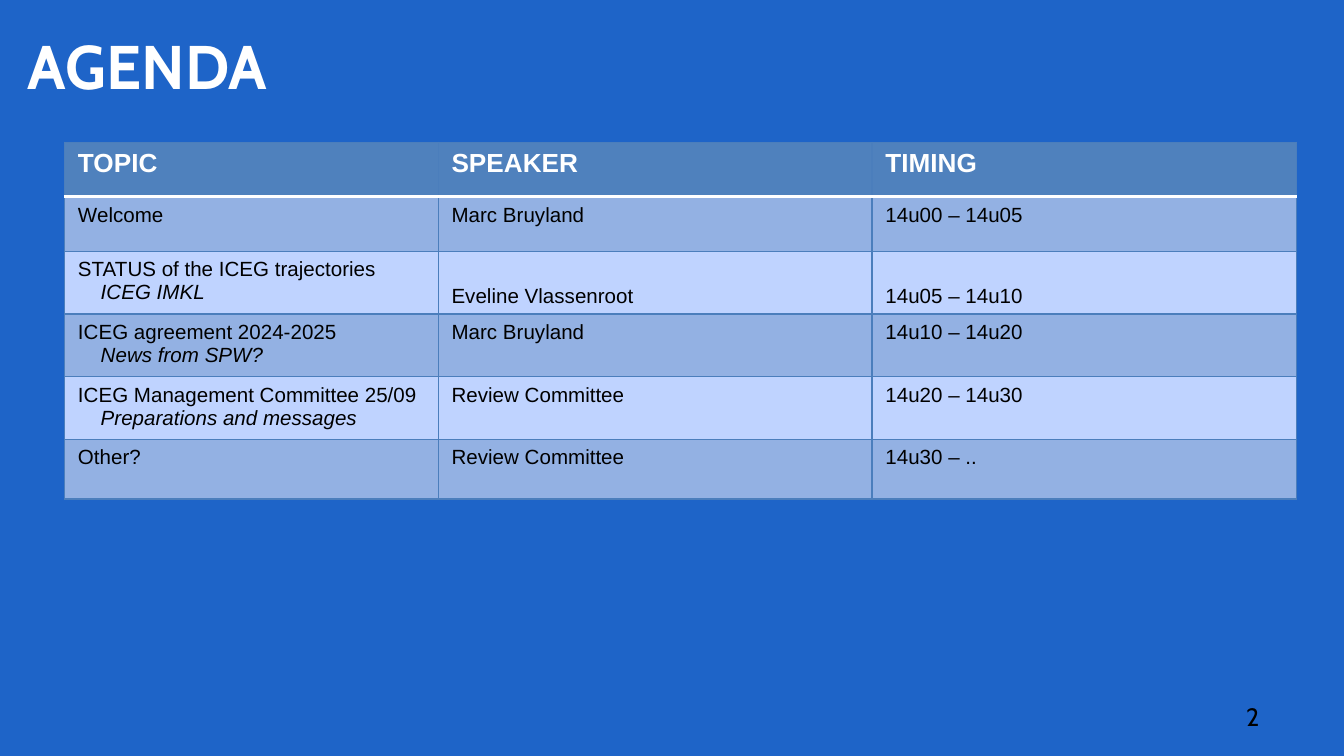
from lxml.etree import SubElement
from pptx import Presentation
from pptx.dml.color import RGBColor
from pptx.enum.text import MSO_ANCHOR
from pptx.oxml.ns import qn
from pptx.util import Cm, Pt

BACKGROUND = "1E64C8"
WHITE = "FFFFFF"
BLACK = "000000"
HEADER_FILL = "4F81BD"
BAND_FILLS = ("93B1E3", "BFD3FF")
GRID_LINE = ("4B7EBC", 0.75)
HEADER_LINE = (WHITE, 2)
COLUMN_WIDTHS = (7.06, 8.2, 8.03)
ROW_HEIGHTS = (1.03, 1.03, 1.12, 1.12, 1.12, 1.12)
HEADINGS = ("TOPIC", "SPEAKER", "TIMING")
AGENDA = (
    ("Welcome", "Marc Bruyland", "14u00 – 14u05"),
    ("STATUS of the ICEG trajectories\nICEG IMKL", "Eveline Vlassenroot", "14u05 – 14u10"),
    ("ICEG agreement 2024-2025\nNews from SPW?", "Marc Bruyland", "14u10 – 14u20"),
    ("ICEG Management Committee 25/09\nPreparations and messages", "Review Committee",
     "14u20 – 14u30"),
    ("Other?", "Review Committee", "14u30 – .."),
)
LOW_ROW = 2


def color(value):
    """Turn a hex string into a colour."""
    return RGBColor.from_string(value)


def format_runs(paragraph, name, size, value, bold=False, italic=False):
    """Give every run of a paragraph the same font."""
    for run in paragraph.runs:
        font = run.font
        font.name, font.size = name, Pt(size)
        font.bold, font.italic = bold, italic
        font.color.rgb = color(value)


def add_label(slide, box, text, size, value, bold=False, anchor=MSO_ANCHOR.TOP):
    """Place a single line of Cabin text in a box."""
    text_frame = slide.shapes.add_textbox(*map(Cm, box)).text_frame
    text_frame.word_wrap = True
    text_frame.vertical_anchor = anchor
    text_frame.margin_left = text_frame.margin_right = Cm(0.13)
    text_frame.margin_top = text_frame.margin_bottom = Cm(0.13)
    text_frame.text = text
    format_runs(text_frame.paragraphs[0], "Cabin", size, value, bold)


def set_borders(cell, top, bottom):
    """Draw the four borders of a cell."""
    properties = cell._tc.get_or_add_tcPr()
    sides = {"L": GRID_LINE, "R": GRID_LINE, "T": top, "B": bottom}
    for side, (value, width) in sides.items():
        line = SubElement(properties, qn(f"a:ln{side}"), w=str(Pt(width)))
        fill = SubElement(line, qn("a:solidFill"))
        SubElement(fill, qn("a:srgbClr"), val=value)


def fill_cell(cell, text, row):
    """Set the text, borders and fill of one agenda cell."""
    is_header = row == 0
    set_borders(cell, HEADER_LINE if row == 1 else GRID_LINE,
                HEADER_LINE if is_header else GRID_LINE)
    cell.fill.solid()
    cell.fill.fore_color.rgb = color(HEADER_FILL if is_header else BAND_FILLS[(row - 1) % 2])
    cell.text_frame.text = text
    for index, paragraph in enumerate(cell.text_frame.paragraphs):
        if index:
            paragraph._p.get_or_add_pPr().set("marL", str(Cm(0.43)))
        format_runs(paragraph, "Arial", 14 if is_header else 11,
                    WHITE if is_header else BLACK, bold=is_header, italic=index > 0)


def add_agenda(slide, left, top):
    """Build the agenda table from its top left corner."""
    rows = (HEADINGS, *AGENDA)
    frame = slide.shapes.add_table(len(rows), len(HEADINGS), Cm(left), Cm(top),
                                   Cm(sum(COLUMN_WIDTHS)), Cm(sum(ROW_HEIGHTS)))
    table = frame.table
    for column, width in zip(table.columns, COLUMN_WIDTHS):
        column.width = Cm(width)
    for row, (texts, height) in enumerate(zip(rows, ROW_HEIGHTS)):
        table.rows[row].height = Cm(height)
        for column, text in enumerate(texts):
            cell = table.cell(row, column)
            fill_cell(cell, text, row)
            if row == LOW_ROW and column:
                cell.vertical_anchor = MSO_ANCHOR.BOTTOM


def add_agenda_slide(presentation):
    """Add the agenda slide with its title, table and page number."""
    slide = presentation.slides.add_slide(presentation.slide_layouts[6])
    slide.background.fill.solid()
    slide.background.fill.fore_color.rgb = color(BACKGROUND)
    add_label(slide, (0.4, 0, 22.86, 2.46), "AGENDA", 33, WHITE, True, MSO_ANCHOR.MIDDLE)
    add_agenda(slide, 1.22, 2.69)
    add_label(slide, (23.42, 13.13, 1.42, 0.86), "2", 13.5, BLACK)


def main():
    """Create and save the presentation."""
    presentation = Presentation()
    presentation.slide_width, presentation.slide_height = Cm(25.4), Cm(14.29)
    add_agenda_slide(presentation)
    presentation.save("out.pptx")


if __name__ == "__main__":
    main()
